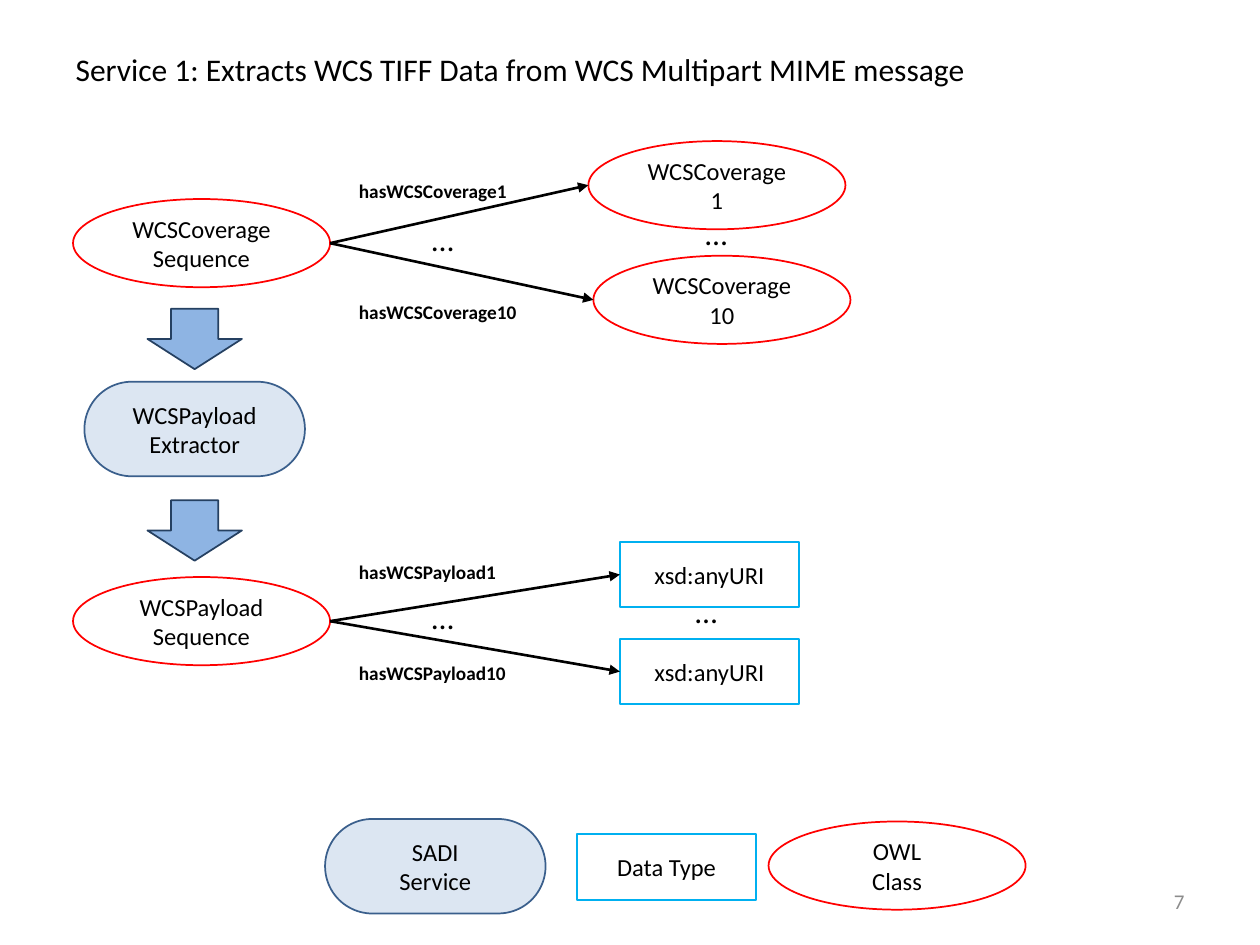
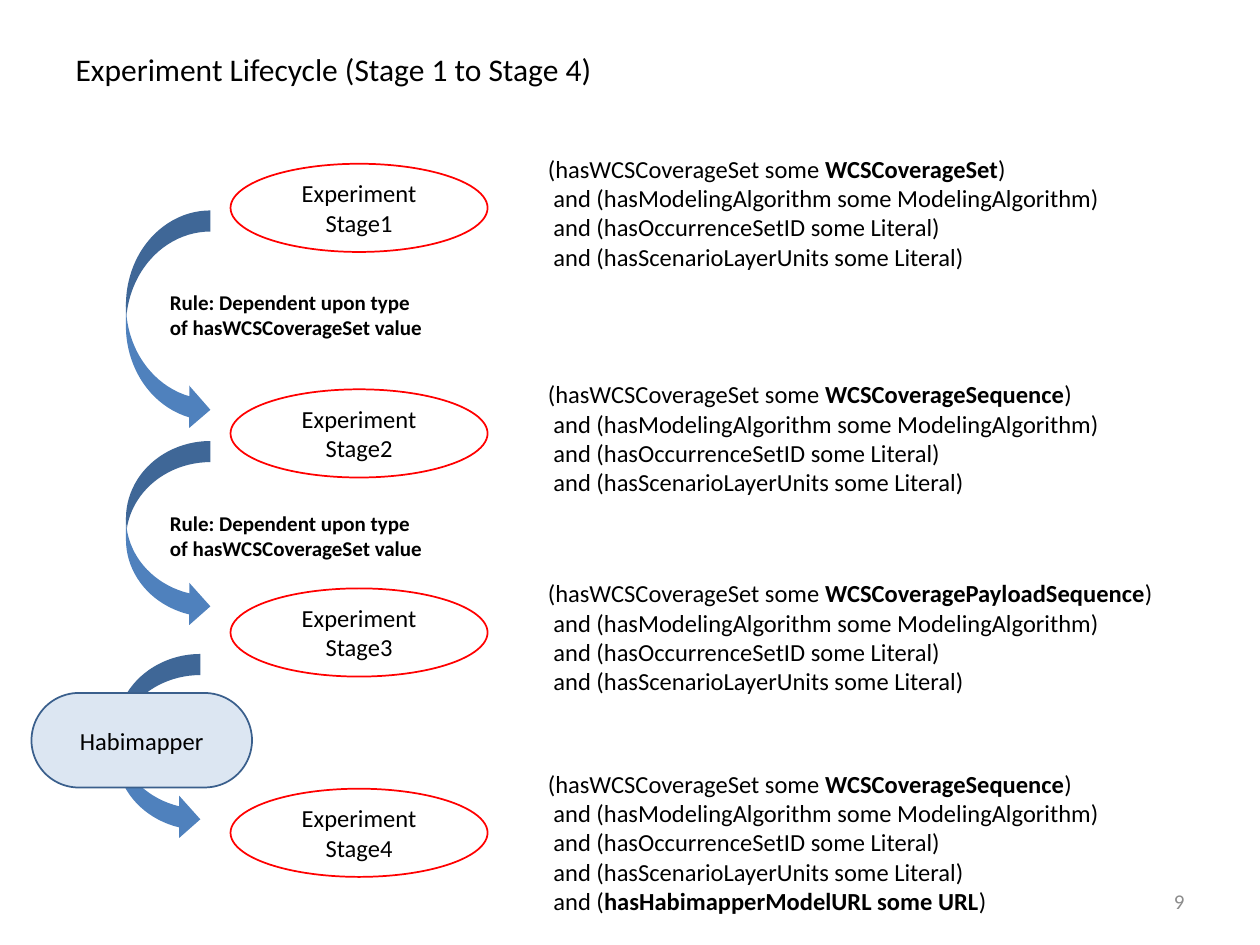
from dataclasses import dataclass

from lxml.etree import SubElement
from pptx import Presentation
from pptx.dml.color import RGBColor
from pptx.enum.shapes import MSO_CONNECTOR, MSO_SHAPE
from pptx.enum.text import MSO_ANCHOR, MSO_AUTO_SIZE, PP_ALIGN
from pptx.oxml.ns import qn
from pptx.util import Inches, Pt


@dataclass(frozen=True)
class Theme:
    font: str = "Calibri"
    ink: str = "000000"
    page_number: str = "8C8C8C"
    owl_line: str = "FF0000"
    data_line: str = "00B0F0"
    service_fill: str = "DCE6F2"
    service_line: str = "3A5F8C"
    flow_fill: str = "8EB4E3"
    flow_line: str = "254061"
    stage_arrow: str = "4F81BD"
    title_size: int = 18
    body_size: int = 14
    rule_size: int = 12
    label_size: int = 11
    outline: float = 1
    link_width: float = 1.5


THEME = Theme()
CLASS_SIZE = (2.04, 0.7)
SERVICE_SIZE = (1.75, 0.75)
DATA_SIZE = (1.42, 0.52)
FLOW_SIZE = (0.75, 0.48)


def write(frame, text, size=THEME.body_size, color=THEME.ink, bold=False,
          align=PP_ALIGN.LEFT, anchor=MSO_ANCHOR.TOP):
    """Fill a frame, one paragraph a line; **marks** toggle bold."""
    frame.word_wrap = True
    frame.vertical_anchor = anchor
    for index, line in enumerate(text.split("\n")):
        para = frame.paragraphs[0] if index == 0 else frame.add_paragraph()
        para.alignment = align
        for part, words in enumerate(line.split("**")):
            if not words:
                continue
            span = para.add_run()
            span.text = words
            span.font.name = THEME.font
            span.font.size = Pt(size)
            span.font.bold = bold or part % 2 == 1
            span.font.color.rgb = RGBColor.from_string(color)


class Page:
    def __init__(self, deck, title, number):
        self.theme = THEME
        self.slide = deck.slides.add_slide(deck.slide_layouts[5])
        box = self.slide.shapes.title
        box.left, box.top = Inches(0.5), Inches(0.35)
        box.width, box.height = Inches(8), Inches(0.4)
        write(box.text_frame, title, size=self.theme.title_size)
        box.text_frame.auto_size = MSO_AUTO_SIZE.NONE
        self.text(7.17, 6.95, 2.33, 0.4, str(number), size=self.theme.rule_size,
                  color=self.theme.page_number, align=PP_ALIGN.RIGHT,
                  anchor=MSO_ANCHOR.MIDDLE)

    def text(self, left, top, width, height, words, **style):
        box = self.slide.shapes.add_textbox(
            Inches(left), Inches(top), Inches(width), Inches(height))
        write(box.text_frame, words, **style)

    def label(self, top, words):
        self.text(2.75, top, 1.58, 0.29, words, size=self.theme.label_size, bold=True)

    def dots(self, left, top):
        self.text(left, top, 0.58, 0.4, "…", size=self.theme.title_size)

    def shape(self, kind, left, top, size, words="", fill=None, line=None, rounding=None):
        box = self.slide.shapes.add_shape(
            kind, Inches(left), Inches(top), Inches(size[0]), Inches(size[1]))
        box.shadow.inherit = False
        if rounding is not None:
            box.adjustments[0] = rounding
        if fill:
            box.fill.solid()
            box.fill.fore_color.rgb = RGBColor.from_string(fill)
        else:
            box.fill.background()
        if line:
            box.line.color.rgb = RGBColor.from_string(line)
            box.line.width = Pt(self.theme.outline)
        else:
            box.line.fill.background()
        if words:
            write(box.text_frame, words, align=PP_ALIGN.CENTER, anchor=MSO_ANCHOR.MIDDLE)
        return box

    def owl_class(self, left, top, words):
        return self.shape(MSO_SHAPE.OVAL, left, top, CLASS_SIZE, words,
                          line=self.theme.owl_line)

    def service(self, left, top, words):
        return self.shape(MSO_SHAPE.ROUNDED_RECTANGLE, left, top, SERVICE_SIZE, words,
                          self.theme.service_fill, self.theme.service_line, 0.5)

    def data_type(self, left, top, words):
        return self.shape(MSO_SHAPE.ROUNDED_RECTANGLE, left, top, DATA_SIZE, words,
                          line=self.theme.data_line, rounding=0)

    def flow_arrow(self, top):
        self.shape(MSO_SHAPE.DOWN_ARROW, 1.17, top, FLOW_SIZE,
                   fill=self.theme.flow_fill, line=self.theme.flow_line)

    def stage_arrow(self, left, top, height):
        self.shape(MSO_SHAPE.CURVED_RIGHT_ARROW, left, top, (0.67, height),
                   fill=self.theme.stage_arrow)

    def link(self, source, target):
        """Arrow from the right edge of source to the left edge of target."""
        line = self.slide.shapes.add_connector(
            MSO_CONNECTOR.STRAIGHT,
            source.left + source.width, source.top + source.height // 2,
            target.left, target.top + target.height // 2)
        line.line.color.rgb = RGBColor.from_string(self.theme.ink)
        line.line.width = Pt(self.theme.link_width)
        SubElement(line.line._get_or_add_ln(), qn("a:tailEnd"), type="triangle")
        SubElement(line._element.spPr, qn("a:effectLst"))


def build_service_page(deck):
    page = Page(deck, "Service 1: Extracts WCS TIFF Data from WCS Multipart MIME message", 7)

    coverage = page.owl_class(0.58, 1.58, "WCSCoverage\nSequence")
    payload = page.owl_class(0.58, 4.58, "WCSPayload\nSequence")
    page.service(0.67, 3.03, "WCSPayload\nExtractor")
    for top in (2.45, 3.97):
        page.flow_arrow(top)

    members = (
        (coverage, page.owl_class(4.67, 1.12, "WCSCoverage\n1"), 1.37, "hasWCSCoverage1"),
        (coverage, page.owl_class(4.71, 2.03, "WCSCoverage\n10"), 2.33, "hasWCSCoverage10"),
        (payload, page.data_type(4.92, 4.3, "xsd:anyURI"), 4.4, "hasWCSPayload1"),
        (payload, page.data_type(4.92, 5.07, "xsd:anyURI"), 5.2, "hasWCSPayload10"),
    )
    for sequence, member, label_top, name in members:
        page.link(sequence, member)
        page.label(label_top, name)
    for left, top in ((5.5, 1.65), (3.33, 1.7), (5.42, 4.65), (3.33, 4.7)):
        page.dots(left, top)

    page.service(2.58, 6.5, "SADI\nService")
    page.data_type(4.58, 6.62, "Data Type")
    page.owl_class(6.1, 6.52, "OWL\nClass")


def build_lifecycle_page(deck):
    page = Page(deck, "Experiment Lifecycle (Stage 1 to Stage 4)", 9)
    shared_conditions = (
        " and (hasModelingAlgorithm some ModelingAlgorithm)\n"
        " and (hasOccurrenceSetID some Literal)\n"
        " and (hasScenarioLayerUnits some Literal)")
    model_condition = "\n and (**hasHabimapperModelURL some URL**)"
    stages = (
        (1.3, 1.17, "WCSCoverageSet", ""),
        (3.09, 2.96, "WCSCoverageSequence", ""),
        (4.67, 4.54, "WCSCoveragePayloadSequence", ""),
        (6.26, 6.05, "WCSCoverageSequence", model_condition),
    )
    for number, (top, text_top, coverage, extra) in enumerate(stages, 1):
        page.owl_class(1.83, top, f"Experiment\nStage{number}")
        conditions = f"(hasWCSCoverageSet some **{coverage}**)\n{shared_conditions}{extra}"
        page.text(4.25, text_top, 5, 1.28 if extra else 1.04, conditions)

    for left, top, height in ((1, 1.67, 1.75), (1, 3.5, 1.48), (0.92, 5.19, 1.48)):
        page.stage_arrow(left, top, height)
    page.service(0.25, 5.5, "Habimapper")
    for top in (2.25, 4):
        page.text(1.25, top, 2.25, 0.5, "Rule: Dependent upon type of hasWCSCoverageSet value",
                  size=THEME.rule_size, bold=True)


def main():
    deck = Presentation()
    deck.slide_width, deck.slide_height = Inches(10), Inches(7.5)
    build_service_page(deck)
    build_lifecycle_page(deck)
    deck.save("out.pptx")


if __name__ == "__main__":
    main()
